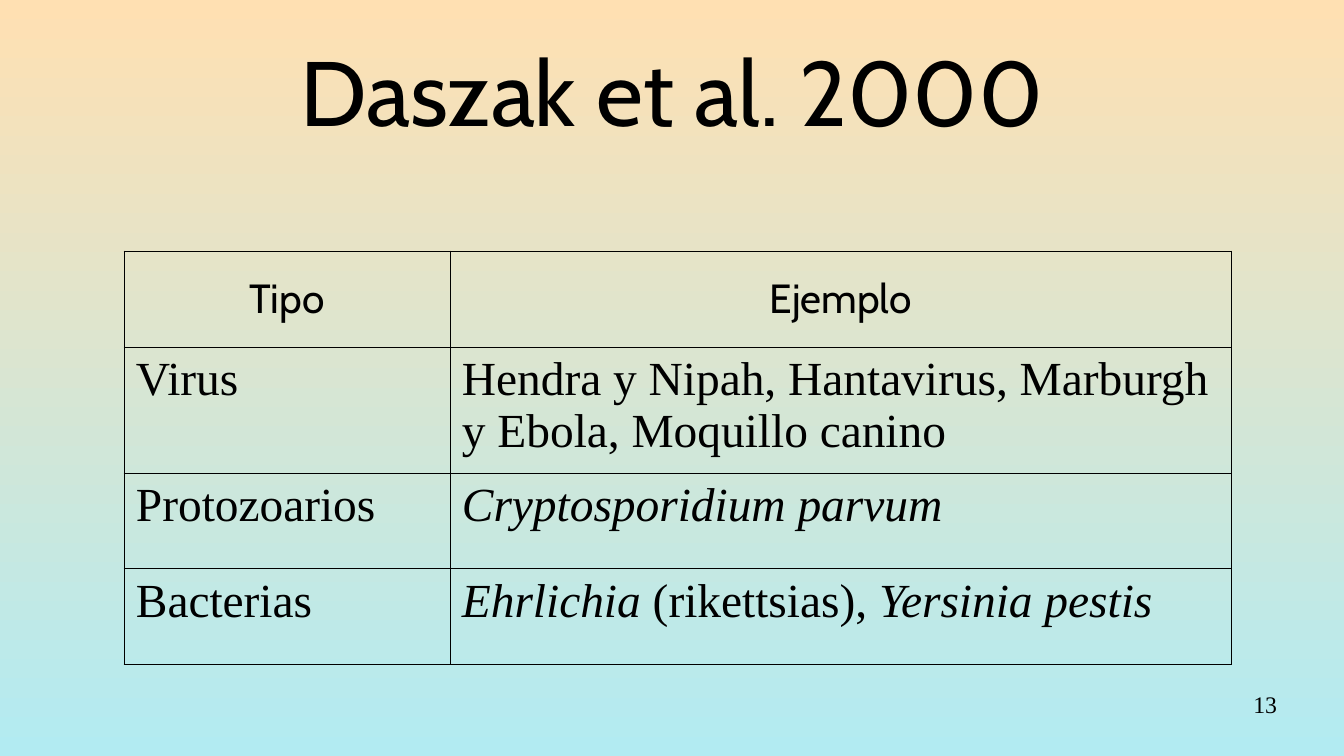
"""Build a slide with a table of emerging disease types and examples."""
from lxml import etree
from pptx import Presentation
from pptx.dml.color import RGBColor
from pptx.enum.text import MSO_ANCHOR, PP_ALIGN
from pptx.oxml.ns import qn
from pptx.util import Pt

LEFT, CENTER, RIGHT = PP_ALIGN.LEFT, PP_ALIGN.CENTER, PP_ALIGN.RIGHT
TOP, MIDDLE = MSO_ANCHOR.TOP, MSO_ANCHOR.MIDDLE
SCALE = 914400 / 122
COLORS = {"ink": "000000", "sky_top": "FFE0B2", "sky_bottom": "B2EBF2"}
HEADING, BODY = "Cabin", "Times New Roman"


def px(length):
    return round(length * SCALE)


def color(name):
    return RGBColor.from_string(COLORS[name])


class SlideBuilder:
    def __init__(self, slide):
        self.slide = slide

    def background(self, top, bottom):
        fill = self.slide.background.fill
        fill.gradient()
        fill.gradient_angle = 270
        for stop, name, position in zip(fill.gradient_stops, (top, bottom), (0, 1)):
            stop.color.rgb = color(name)
            stop.position = position

    def add_runs(self, frame, runs, font, size, align):
        paragraph = frame.paragraphs[0]
        paragraph.alignment = align
        for text, italic in runs:
            run = paragraph.add_run()
            run.text = text
            run.font.name = font
            run.font.size = Pt(size)
            run.font.italic = italic
            run.font.color.rgb = color("ink")

    def text(self, box, text, font, size, align, anchor=TOP):
        shape = self.slide.shapes.add_textbox(*map(px, box))
        frame = shape.text_frame
        frame.word_wrap = True
        frame.vertical_anchor = anchor
        frame.margin_left = frame.margin_right = 0
        frame.margin_top = frame.margin_bottom = 0
        self.add_runs(frame, [(text, False)], font, size, align)

    def borders(self, cell):
        properties = cell._tc.get_or_add_tcPr()
        for side in ("lnL", "lnR", "lnT", "lnB"):
            line = etree.SubElement(properties, qn(f"a:{side}"), w=str(Pt(0.57)))
            fill = etree.SubElement(line, qn("a:solidFill"))
            etree.SubElement(fill, qn("a:srgbClr"), val=COLORS["ink"])

    def table(self, left, top, widths, heights, rows):
        box = (left, top, sum(widths), sum(heights))
        table = self.slide.shapes.add_table(len(rows), len(widths), *map(px, box)).table
        table.first_row = table.horz_banding = False
        for column, width in zip(table.columns, widths):
            column.width = px(width)
        for row, height in zip(table.rows, heights):
            row.height = px(height)
        for row_index, row in enumerate(rows):
            header = row_index == 0
            style = (HEADING, 24, CENTER) if header else (BODY, 28, LEFT)
            for column_index, runs in enumerate(row):
                cell = table.cell(row_index, column_index)
                cell.margin_left = cell.margin_right = px(12)
                cell.margin_top = cell.margin_bottom = px(6)
                cell.vertical_anchor = MIDDLE if header else TOP
                self.borders(cell)
                cell.fill.background()
                self.add_runs(cell.text_frame, runs, *style)


def main():
    presentation = Presentation()
    presentation.slide_width = px(1344)
    presentation.slide_height = px(756)
    slide = presentation.slides.add_slide(presentation.slide_layouts[6])
    builder = SlideBuilder(slide)
    builder.background("sky_top", "sky_bottom")
    builder.text((67, 26, 1210, 127), "Daszak et al. 2000", HEADING, 54, CENTER, MIDDLE)
    builder.table(124, 251, (326, 781), (96, 126, 96, 96), [
        ([("Tipo", False)], [("Ejemplo", False)]),
        ([("Virus", False)],
         [("Hendra y Nipah, Hantavirus, Marburgh y Ebola, Moquillo canino", False)]),
        ([("Protozoarios", False)], [("Cryptosporidium parvum", True)]),
        ([("Bacterias", False)],
         [("Ehrlichia", True), (" (rikettsias), ", False), ("Yersinia pestis", True)]),
    ])
    builder.text((964, 690, 313, 52), "13", BODY, 14, RIGHT)
    presentation.save("out.pptx")


if __name__ == "__main__":
    main()
